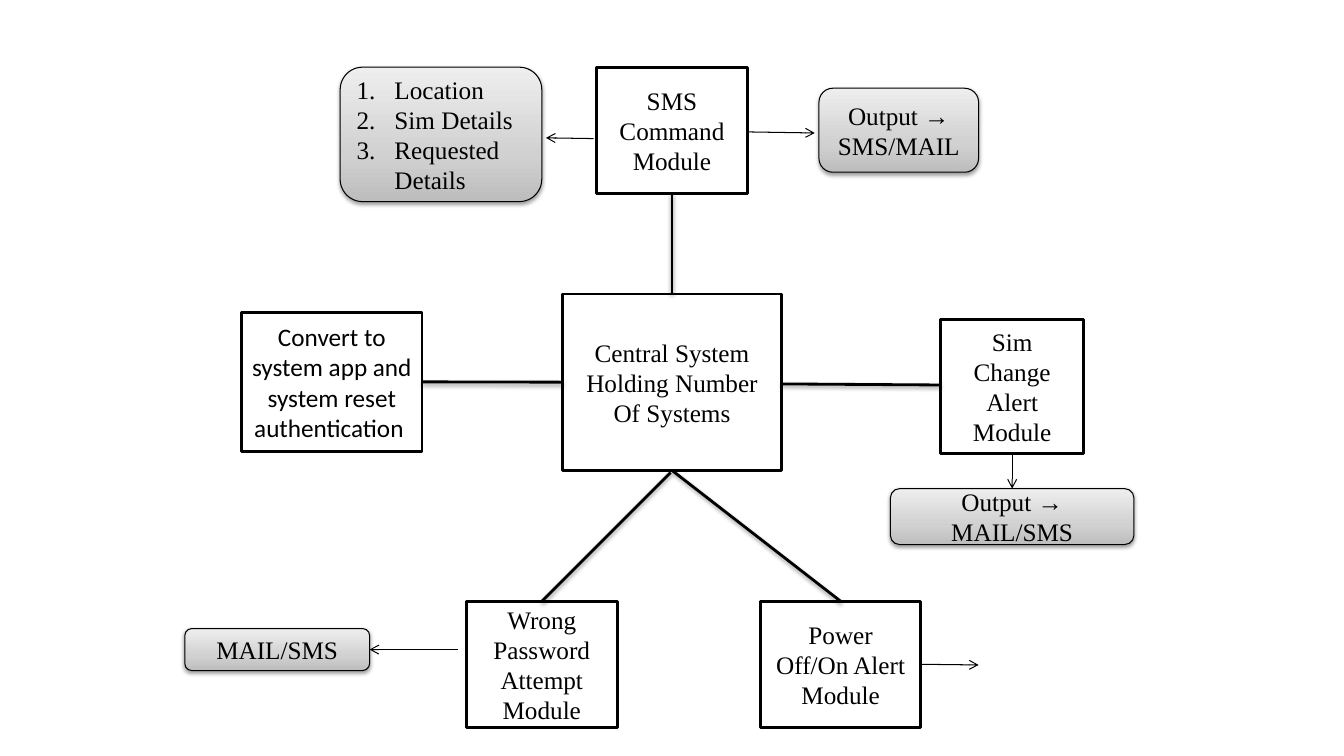
from dataclasses import dataclass
from typing import Optional

from lxml import etree
from pptx import Presentation
from pptx.dml.color import RGBColor
from pptx.enum.shapes import MSO_CONNECTOR, MSO_SHAPE
from pptx.enum.text import MSO_ANCHOR, PP_ALIGN
from pptx.oxml.ns import qn
from pptx.util import Pt

RECT, ROUNDED = MSO_SHAPE.RECTANGLE, MSO_SHAPE.ROUNDED_RECTANGLE
STRAIGHT = MSO_CONNECTOR.STRAIGHT
MIDDLE = MSO_ANCHOR.MIDDLE
LEFT, CENTER = PP_ALIGN.LEFT, PP_ALIGN.CENTER
TOP_SIDE, LEFT_SIDE, BOTTOM_SIDE, RIGHT_SIDE = range(4)

BLACK = RGBColor(0x00, 0x00, 0x00)
WHITE = RGBColor(0xFF, 0xFF, 0xFF)
GRADIENT = [
    (0, RGBColor(0xBD, 0xBD, 0xBD)),
    (35, RGBColor(0xD1, 0xD1, 0xD1)),
    (100, RGBColor(0xEE, 0xEE, 0xEE)),
]
SERIF, SANS = "Times New Roman", "Calibri"
THICK, THIN = 2, 0.75
LIST_INDENT = 27


@dataclass
class Box:
    key: str
    left: float
    top: float
    width: float
    height: float
    lines: list[str]
    output: bool = False
    numbered: bool = False
    font: str = SERIF


@dataclass
class Link:
    """Endpoints in points; each side joins a keyed box where given."""
    start: tuple[float, float]
    end: tuple[float, float]
    begin_at: Optional[tuple[str, int]] = None
    end_at: Optional[tuple[str, int]] = None
    arrow: bool = False


MODULES = [
    Box("sms", 426, 48, 108, 90, ["SMS Command Module"]),
    Box("central", 402, 210, 156, 126, ["Central System Holding Number Of Systems"]),
    Box("sim", 672, 228, 102, 96, ["Sim Change Alert Module"]),
    Box("power", 543.5, 429.5, 114, 90, ["Power Off/On Alert Module"]),
    Box("password", 333, 429.5, 108, 90, ["Wrong Password Attempt Module"]),
    Box("convert", 172.5, 223, 129, 99.5,
        ["Convert to system app and system reset authentication "], font=SANS),
]
OUTPUTS = [
    Box("sms output", 585, 63, 114, 60, ["Output → SMS/MAIL"], output=True),
    Box("sim output", 636, 349, 174, 40, ["Output → MAIL/SMS"], output=True),
    Box("details", 243, 48, 144, 96, ["Location", "Sim Details", "Requested Details"],
        output=True, numbered=True),
    Box("password output", 132, 449, 132, 30, ["MAIL/SMS"], output=True),
]

LINKS = [
    # Central system to modules
    Link((480, 138), (480, 210), ("sms", BOTTOM_SIDE), ("central", TOP_SIDE)),
    Link((558, 274.25), (672, 275)),
    Link((402, 273), (301.5, 273), ("central", LEFT_SIDE), ("convert", RIGHT_SIDE)),
    Link((480, 336), (600.5, 429.5), ("central", BOTTOM_SIDE), ("power", TOP_SIDE)),
    Link((479, 337.5), (387, 429.5), end_at=("password", TOP_SIDE)),
    # Modules to outputs
    Link((534, 94.25), (582, 95), arrow=True),
    Link((424, 99), (390, 98.5), arrow=True),
    Link((723, 324), (723, 349), ("sim", BOTTOM_SIDE), ("sim output", TOP_SIDE), arrow=True),
    Link((327, 464), (264, 464), end_at=("password output", RIGHT_SIDE), arrow=True),
    Link((657.5, 474.5), (699, 475), ("power", RIGHT_SIDE), arrow=True),
]


def add_colour(parent, colour: RGBColor):
    return etree.SubElement(parent, qn("a:srgbClr"), val=str(colour))


def add_shadow(effects) -> None:
    shadow = etree.SubElement(effects, qn("a:outerShdw"), blurRad=str(Pt(3.1)),
                              dist=str(Pt(1.6)), dir="5400000", rotWithShape="0")
    etree.SubElement(add_colour(shadow, BLACK), qn("a:alpha"), val="38000")


def fill_gradient(sp) -> None:
    sp.fill.gradient()
    sp.fill.gradient_angle = 90
    stops = sp._element.spPr.find(".//" + qn("a:gsLst"))
    for stop in list(stops):
        stops.remove(stop)
    for percent, colour in GRADIENT:
        add_colour(etree.SubElement(stops, qn("a:gs"), pos=str(percent * 1000)), colour)


def write(p, text: str, *, font: str = SERIF, size: float = 18,
          align=CENTER, numbered: bool = False) -> None:
    p.alignment = align
    if numbered:
        pPr = p._p.get_or_add_pPr()
        pPr.set("marL", str(Pt(LIST_INDENT)))
        pPr.set("indent", str(-Pt(LIST_INDENT)))
        etree.SubElement(pPr, qn("a:buFont"), typeface="+mj-lt")
        etree.SubElement(pPr, qn("a:buAutoNum"), type="arabicPeriod")
    r = p.add_run()
    r.text = text
    r.font.name, r.font.size = font, Pt(size)
    r.font.color.rgb = BLACK


def draw_box(s, box: Box):
    sp = s.shapes.add_shape(ROUNDED if box.output else RECT, Pt(box.left), Pt(box.top),
                            Pt(box.width), Pt(box.height))
    sp.line.color.rgb = BLACK
    sp.line.width = Pt(THIN if box.output else THICK)
    sp.shadow.inherit = False
    if box.output:
        fill_gradient(sp)
        add_shadow(sp._element.spPr.find(qn("a:effectLst")))
    else:
        sp.fill.solid()
        sp.fill.fore_color.rgb = WHITE
    tf = sp.text_frame
    tf.word_wrap = True
    tf.vertical_anchor = MIDDLE
    for i, text in enumerate(box.lines):
        p = tf.add_paragraph() if i else tf.paragraphs[0]
        write(p, text, font=box.font, align=LEFT if box.numbered else CENTER,
              numbered=box.numbered)
    return sp


def draw_link(s, link: Link, boxes: dict) -> None:
    line = s.shapes.add_connector(STRAIGHT, *map(Pt, link.start + link.end))
    if link.begin_at:
        key, side = link.begin_at
        line.begin_connect(boxes[key], side)
    if link.end_at:
        key, side = link.end_at
        line.end_connect(boxes[key], side)
    line.line.color.rgb = BLACK
    line.line.width = Pt(THIN if link.arrow else THICK)
    spPr = line._element.spPr
    effects = etree.SubElement(spPr, qn("a:effectLst"))
    if link.arrow:
        etree.SubElement(spPr.find(qn("a:ln")), qn("a:tailEnd"), type="arrow")
    else:
        add_shadow(effects)


def main() -> None:
    prs = Presentation()
    prs.slide_width, prs.slide_height = Pt(960), Pt(540)
    s = prs.slides.add_slide(prs.slide_layouts[6])

    # Modules and their outputs
    boxes = {box.key: draw_box(s, box) for box in MODULES + OUTPUTS}
    # Lines and arrows
    for link in LINKS:
        draw_link(s, link, boxes)

    prs.save("out.pptx")


if __name__ == "__main__":
    main()
